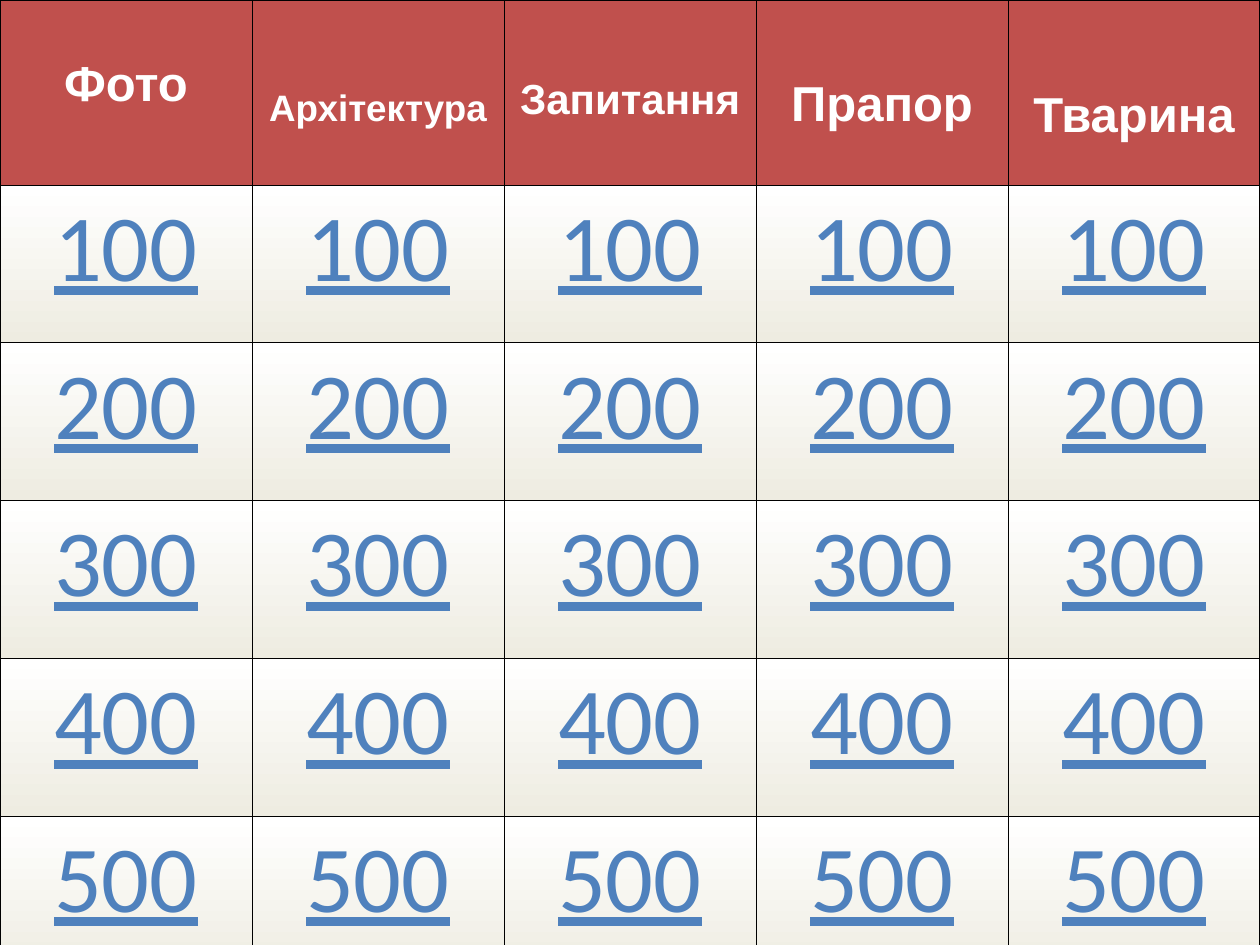
"""Build a quiz board: five topics, each with questions worth 100 to 500 points."""
from pptx import Presentation
from pptx import util as u
from pptx.dml.color import RGBColor
from pptx.enum import text
from pptx.oxml.xmlchemy import OxmlElement

COLORS = {"header": "C0504D", "header_text": "FFFFFF", "points": "4F81BD",
          "top": "FFFFFF", "bottom": "EEECE1", "border": "000000"}
TOPICS = [("Фото", 28, 1.0, 1.16), ("Архітектура", 21, 3.0, 0.13),
          ("Запитання", 24, 2.5, 0.13), ("Прапор", 28, 2.3, 0.13),
          ("Тварина", 28, 2.5, 0.13)]
POINTS = [100, 200, 300, 400, 500]
HEADER_HEIGHT, POINTS_HEIGHT, COLUMN_WIDTH = u.Cm(3.73), u.Cm(3.18), u.Cm(5.08)


def write_cell(cell, words, font_name, size, color, spacing=1.0, before=0):
    para = cell.text_frame.paragraphs[0]
    para.alignment = text.PP_ALIGN.CENTER
    para.line_spacing = spacing
    para.space_before = u.Pt(before)
    span = para.add_run()
    span.text = words
    span.font.name = font_name
    span.font.size = u.Pt(size)
    span.font.color.rgb = RGBColor.from_string(COLORS[color])
    return span.font


def draw_borders(cell, outer_sides):
    properties = cell._tc.get_or_add_tcPr()
    for side in "LRTB":
        width = u.Pt(1.08 if side in outer_sides else 0.45)
        line = OxmlElement(f"a:ln{side}")
        line.set("w", str(int(width)))
        fill = OxmlElement("a:solidFill")
        color = OxmlElement("a:srgbClr")
        color.set("val", COLORS["border"])
        fill.append(color)
        line.append(fill)
        properties.append(line)


deck = Presentation()
deck.slide_width, deck.slide_height = u.Cm(25.4), u.Cm(19.05)
page = deck.slides.add_slide(deck.slide_layouts[6])
last_row, last_column = len(POINTS), len(TOPICS) - 1
board = page.shapes.add_table(
    last_row + 1, last_column + 1, u.Cm(0), u.Cm(0),
    COLUMN_WIDTH * len(TOPICS), HEADER_HEIGHT + POINTS_HEIGHT * len(POINTS)).table
board.first_row = board.horz_banding = False
for column in board.columns:
    column.width = COLUMN_WIDTH
for index, row in enumerate(board.rows):
    row.height = POINTS_HEIGHT if index else HEADER_HEIGHT

for row in range(last_row + 1):
    for column, (topic, size, spacing, top_margin) in enumerate(TOPICS):
        cell = board.cell(row, column)
        edges = {"L": column == 0, "R": column == last_column,
                 "T": row == 0, "B": row == last_row}
        draw_borders(cell, [side for side, is_outer in edges.items() if is_outer])
        cell.margin_left = cell.margin_right = u.Cm(0.25)
        cell.margin_top = cell.margin_bottom = u.Cm(0.13)
        if row == 0:
            cell.margin_top = u.Cm(top_margin)
            cell.fill.solid()
            cell.fill.fore_color.rgb = RGBColor.from_string(COLORS["header"])
            font = write_cell(cell, topic, "Arial", size, "header_text", spacing, size / 4)
            font.bold = True
        else:
            cell.fill.gradient()
            cell.fill.gradient_angle = 270
            for stop, position, shade in zip(cell.fill.gradient_stops, (0, 1), ("top", "bottom")):
                stop.position = position
                stop.color.rgb = RGBColor.from_string(COLORS[shade])
            font = write_cell(cell, str(POINTS[row - 1]), "Calibri", 54, "points", before=13.5)
            font.bold = False
            font.underline = True

deck.save("out.pptx")
